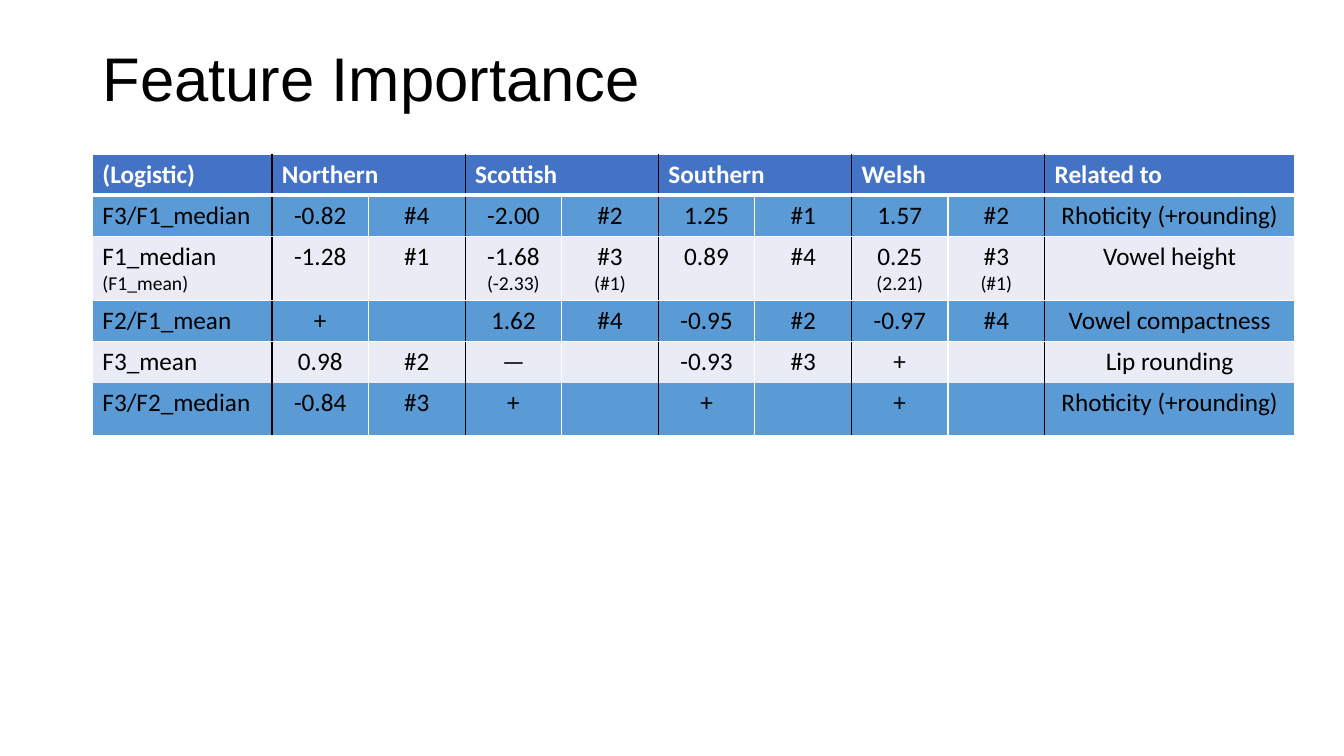
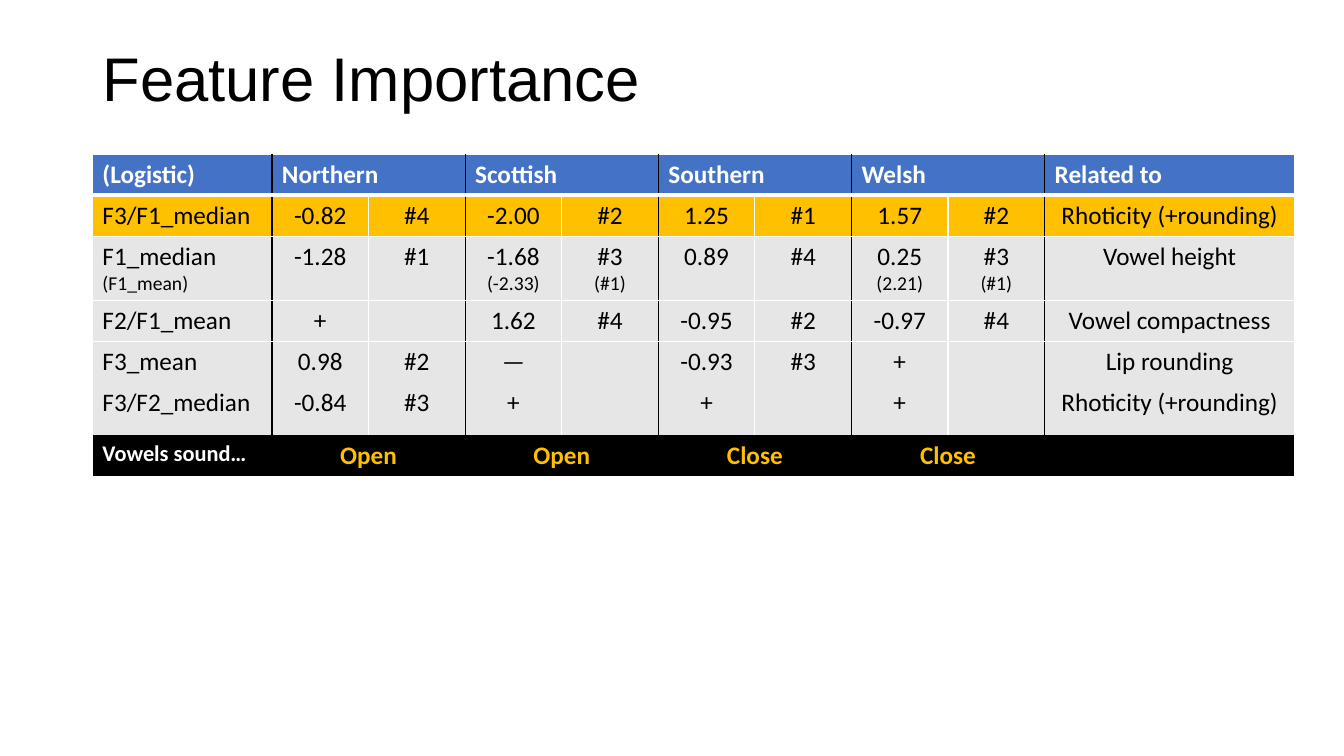
from pptx import Presentation
from pptx.dml.color import RGBColor
from pptx.enum.text import MSO_ANCHOR, MSO_AUTO_SIZE, PP_ALIGN
from pptx.oxml.ns import qn
from pptx.util import Pt
from lxml import etree

LEFT, CENTER = PP_ALIGN.LEFT, PP_ALIGN.CENTER
MIDDLE, NO_FIT = MSO_ANCHOR.MIDDLE, MSO_AUTO_SIZE.NONE
PX = 9525
SLIDE = (1280, 720)
TITLE_BOX = (88, 8, 1104, 139)
TABLE_AT = (88, 147)
COL_WIDTHS = [171] + [92] * 8 + [238]
ROW_H, LAST_FEATURE_H = 39, 50
TITLE_ONLY = 5

WHITE, BLACK, GOLD = "FFFFFF", "000000", "FFC000"
HEADER_BLUE, BAND_BLUE, PALE, GREY = "4472C4", "5B9BD5", "E9EBF5", "E7E6E6"

TITLE = "Feature Importance"
# Region headings and verdicts span a value column and a rank column.
HEADER = ["(Logistic)", "Northern", "", "Scottish", "", "Southern", "", "Welsh", "", "Related to"]
FEATURES = [
    ["F3/F1_median", "-0.82", "#4", "-2.00", "#2", "1.25", "#1", "1.57", "#2", "Rhoticity (+rounding)"],
    ["F1_median\n(F1_mean)", "-1.28", "#1", "-1.68\n(-2.33)", "#3\n(#1)", "0.89", "#4",
     "0.25\n(2.21)", "#3\n(#1)", "Vowel height"],
    ["F2/F1_mean", "+", "", "1.62", "#4", "-0.95", "#2", "-0.97", "#4", "Vowel compactness"],
    ["F3_mean", "0.98", "#2", "—", "", "-0.93", "#3", "+", "", "Lip rounding"],
    ["F3/F2_median", "-0.84", "#3", "+", "", "+", "", "+", "", "Rhoticity (+rounding)"],
]
VERDICT = ["Vowels sound…", "Open", "", "Open", "", "Close", "", "Close", "", ""]

# Fills of the feature rows, and whether the verdict row closes the table
SLIDES = [
    ([BAND_BLUE, PALE, BAND_BLUE, PALE, BAND_BLUE], False),
    ([GOLD, GREY, GREY, GREY, GREY], True),
]

HEAD_FONT = {"size": Pt(18), "bold": True, "color": WHITE}
BODY_FONT = {"size": Pt(18), "bold": False, "color": BLACK}
VERDICT_FONT = {"size": Pt(18), "bold": True, "color": GOLD}
VERDICT_LABEL_FONT = {"size": Pt(16), "bold": True, "color": WHITE}
NOTE_SIZE = Pt(14)


def rgb(color):
    return RGBColor.from_string(color)


def set_font(font, name, values):
    font.name = name
    for key, value in values.items():
        if key == "color":
            font.color.rgb = rgb(value)
        else:
            setattr(font, key, value)


def set_border(cell, side, color, width):
    """Draw one cell edge (L, R, T or B); a width of 0 hides it."""
    ln = etree.SubElement(cell._tc.get_or_add_tcPr(), qn("a:ln" + side), w=str(Pt(width)))
    if width:
        fill = etree.SubElement(ln, qn("a:solidFill"))
        etree.SubElement(fill, qn("a:srgbClr"), val=color)
    else:
        etree.SubElement(ln, qn("a:noFill"))


def edge_color(col):
    """Black lines set the regions apart, white ones split value from rank."""
    return BLACK if col % 2 else WHITE


def write_cell(cell, text, font, align):
    """Write one paragraph a line; lines after the first are small notes."""
    tf = cell.text_frame
    for i, line in enumerate(text.split("\n")):
        p = tf.add_paragraph() if i else tf.paragraphs[0]
        p.alignment = align
        if line:
            r = p.add_run()
            r.text = line
            set_font(r.font, "Calibri", {**font, "size": NOTE_SIZE} if i else font)


def add_title(s):
    title = s.shapes.title
    title.left, title.top, title.width, title.height = (n * PX for n in TITLE_BOX)
    tf = title.text_frame
    tf.text, tf.vertical_anchor, tf.auto_size = TITLE, MIDDLE, NO_FIT
    p = tf.paragraphs[0]
    p.alignment, p.line_spacing = LEFT, 0.9
    set_font(p.runs[0].font, "Arial", {"size": Pt(44), "color": BLACK})


def table_rows(fills, has_verdict):
    """List each row as texts, fill, font, height, top and bottom line widths."""
    last = len(FEATURES) - 1
    rows = [(HEADER, HEADER_BLUE, HEAD_FONT, ROW_H, 1, 3)]
    for i, (texts, fill) in enumerate(zip(FEATURES, fills)):
        height = LAST_FEATURE_H if i == last else ROW_H
        top = 3 if i == 0 else int(i < last)
        rows.append((texts, fill, BODY_FONT, height, top, int(i < last - 1)))
    if has_verdict:
        rows.append((VERDICT, BLACK, VERDICT_FONT, ROW_H, 0, 1))
    return rows


def add_feature_table(s, rows):
    width, height = sum(COL_WIDTHS), sum(row[3] for row in rows)
    box = [n * PX for n in (*TABLE_AT, width, height)]
    table = s.shapes.add_table(len(rows), len(COL_WIDTHS), *box).table
    table.first_row = table.horz_banding = False
    for column, w in zip(table.columns, COL_WIDTHS):
        column.width = w * PX
    for r, (texts, fill, font, row_h, top, bottom) in enumerate(rows):
        table.rows[r].height = row_h * PX
        spans_regions = font is not BODY_FONT
        if spans_regions:
            for c in range(1, len(COL_WIDTHS) - 1, 2):
                table.cell(r, c).merge(table.cell(r, c + 1))
        for c, text in enumerate(texts):
            cell = table.cell(r, c)
            if not cell.is_spanned:
                span = cell.span_width if cell.is_merge_origin else 1
                set_border(cell, "L", edge_color(c), 1)
                set_border(cell, "R", edge_color(c + span), 1)
                set_border(cell, "T", WHITE, top)
                set_border(cell, "B", WHITE, bottom)
                is_label = c == 0
                align = LEFT if is_label or font is HEAD_FONT else CENTER
                label_font = VERDICT_LABEL_FONT if font is VERDICT_FONT else font
                write_cell(cell, text, label_font if is_label else font, align)
            cell.fill.solid()
            cell.fill.fore_color.rgb = rgb(fill)


def main():
    prs = Presentation()
    prs.slide_width, prs.slide_height = (n * PX for n in SLIDE)
    for fills, has_verdict in SLIDES:
        s = prs.slides.add_slide(prs.slide_layouts[TITLE_ONLY])
        add_title(s)
        add_feature_table(s, table_rows(fills, has_verdict))
    prs.save("out.pptx")


if __name__ == "__main__":
    main()
